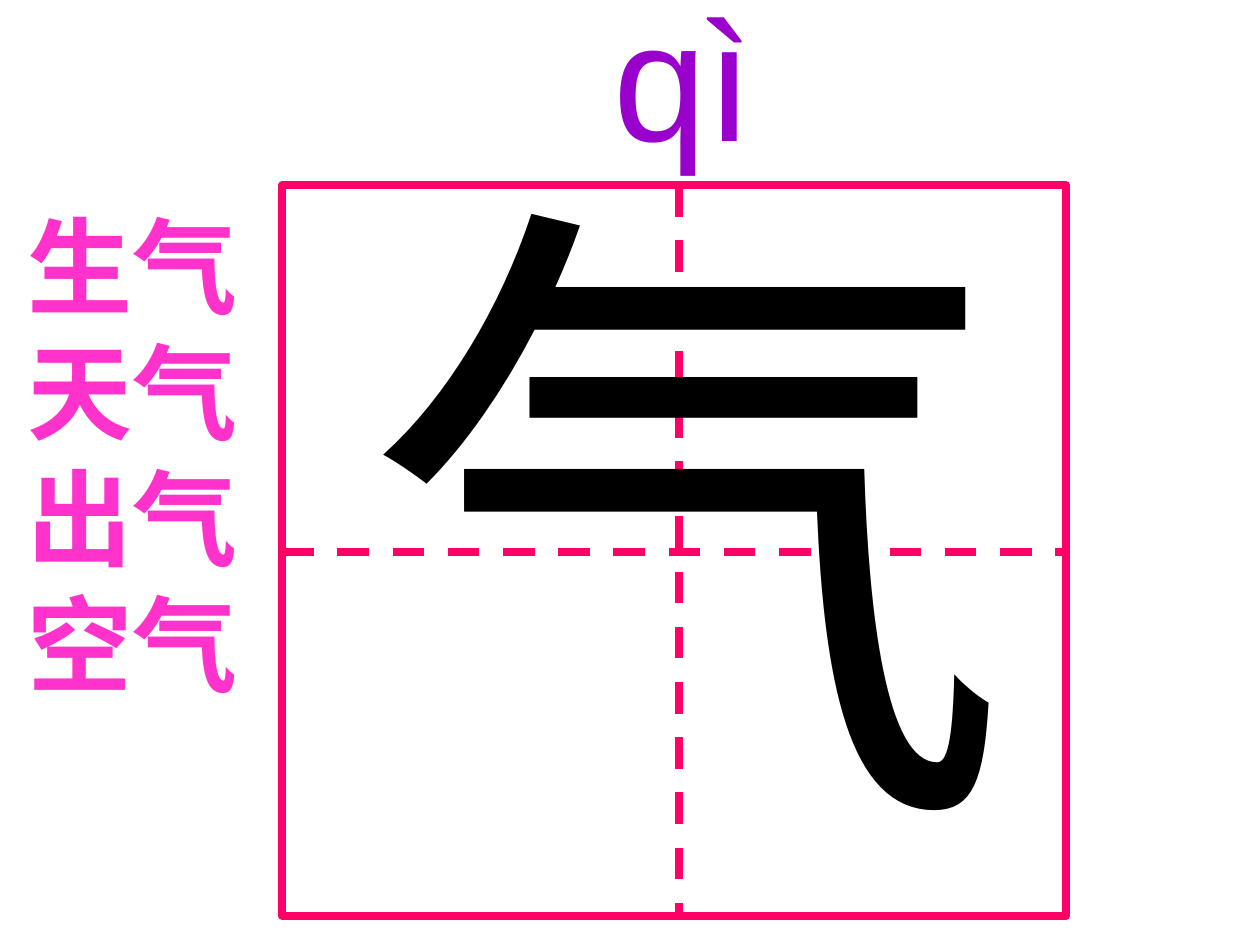
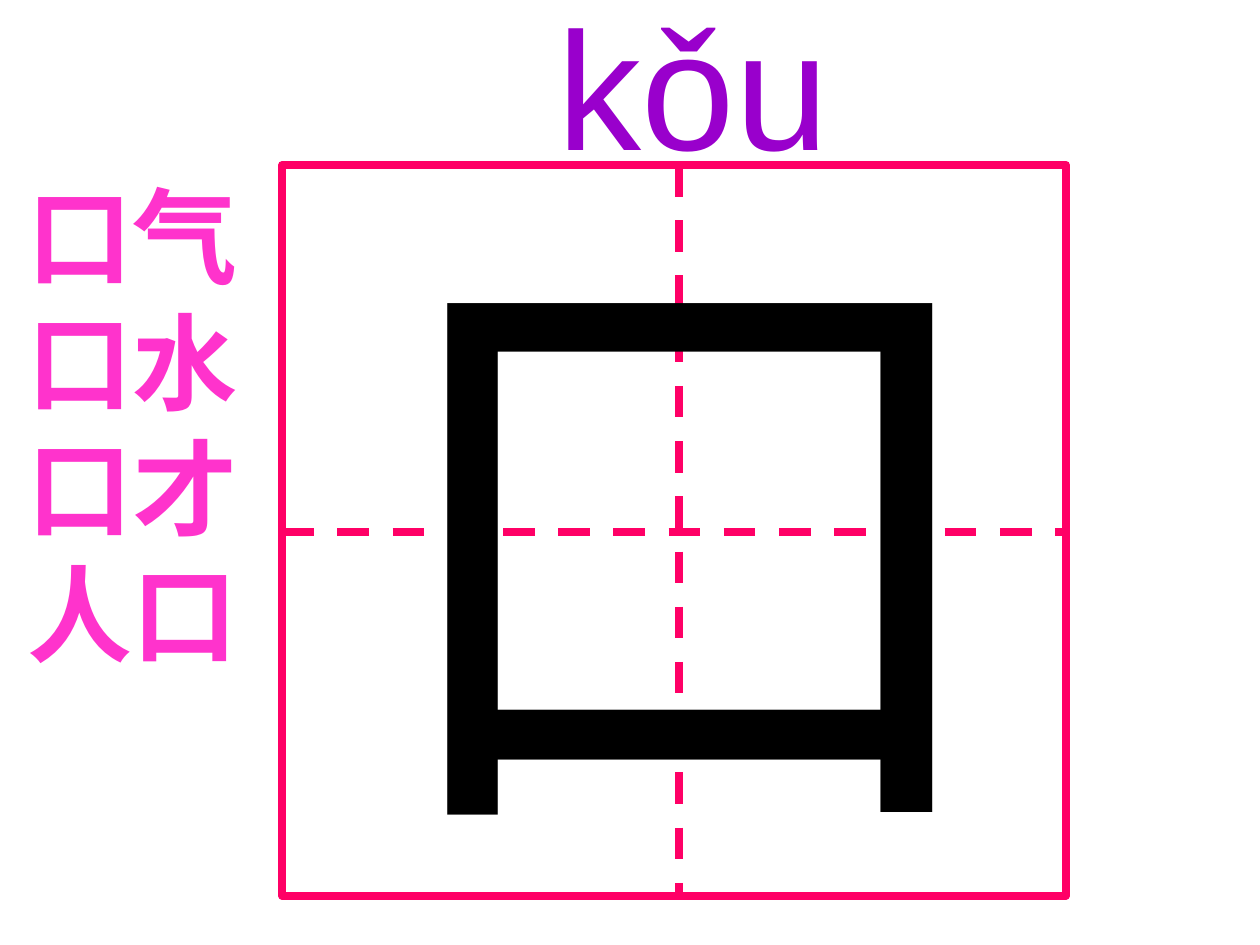
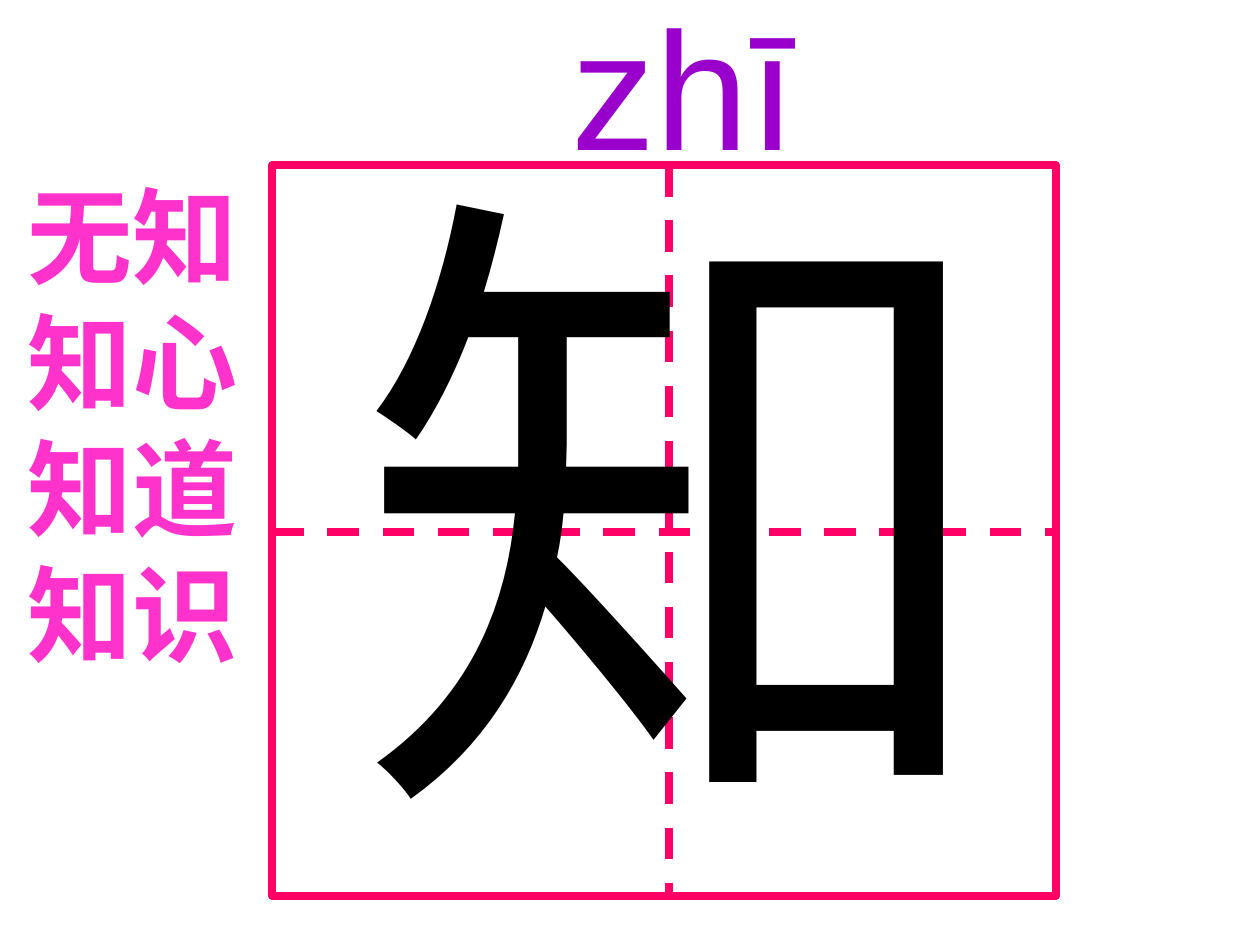
"""Build three cards that teach one Chinese character each."""
from typing import NamedTuple

from lxml import etree
from pptx import Presentation
from pptx.dml.color import RGBColor
from pptx.enum import dml, lang, shapes, text
from pptx.oxml import ns
from pptx.util import Inches, Pt

GRID_PINK = RGBColor(0xFF, 0x00, 0x66)
WORD_PINK = RGBColor(0xFF, 0x33, 0xCC)
PINYIN_PURPLE = RGBColor(0x99, 0x00, 0xCC)
INK = RGBColor(0x00, 0x00, 0x00)

GRID_WIDTH, GRID_HEIGHT = 6.22, 5.8
MIDDLE_X, MIDDLE_Y = 3.15, 2.91
GRID_LINE = Pt(4.5)


class Style(NamedTuple):
    font: str
    size: int
    color: RGBColor
    bold: bool = False
    wrap: bool = True
    language: lang.MSO_LANGUAGE_ID = lang.MSO_LANGUAGE_ID.SIMPLIFIED_CHINESE


class Box(NamedTuple):
    left: float
    top: float
    width: float
    height: float


class Card(NamedTuple):
    character: str
    pinyin: str
    words: tuple[str, ...]
    grid_left: float
    grid_top: float
    character_top: float
    words_top: float
    pinyin_box: Box


CHARACTER = Style("Times New Roman", 370, INK)
WORDS = Style("Arial", 60, WORD_PINK, bold=True)
PINYIN = Style("Arial", 96, PINYIN_PURPLE, wrap=False, language=lang.MSO_LANGUAGE_ID.NONE)

CARDS = (
    Card("气", "qì", ("生气", "天气", "出气", "空气"),
         2.24, 1.47, 0.84, 1.55, Box(4.77, -0.26, 1.31, 1.7)),
    Card("口", "kǒu", ("口气", "口水", "口才", "人口"),
         2.24, 1.31, 1.0, 1.31, Box(4.33, -0.19, 2.35, 1.7)),
    Card("知", "zhī", ("无知", "知心", "知道", "知识"),
         2.16, 1.31, 0.76, 1.31, Box(4.44, -0.19, 2.35, 1.7)),
)


def add_text(slide, content: str, box: Box, style: Style) -> None:
    """Write one run of text in a box that fits it."""
    frame = slide.shapes.add_textbox(*map(Inches, box)).text_frame
    frame.word_wrap = style.wrap
    frame.auto_size = text.MSO_AUTO_SIZE.SHAPE_TO_FIT_TEXT
    run = frame.paragraphs[0].add_run()
    run.text = content
    run.font.name = style.font
    run.font.size = Pt(style.size)
    run.font.bold = style.bold
    run.font.color.rgb = style.color
    run.font.language_id = style.language


def add_guide(grid, x1: float, y1: float, x2: float, y2: float) -> None:
    """Draw one dashed guide of the writing grid."""
    guide = grid.shapes.add_connector(
        shapes.MSO_CONNECTOR.STRAIGHT, *map(Inches, (x1, y1, x2, y2)))
    guide.line.color.rgb = GRID_PINK
    guide.line.width = GRID_LINE
    guide.line.dash_style = dml.MSO_LINE.DASH
    properties = guide._element.find(ns.qn("p:spPr"))
    etree.SubElement(properties, ns.qn("a:effectLst"))


def add_grid(slide, left: float, top: float) -> None:
    """Draw the square frame and its two guides as a group."""
    grid = slide.shapes.add_group_shape()
    frame = grid.shapes.add_shape(
        shapes.MSO_SHAPE.RECTANGLE, *map(Inches, (left, top, GRID_WIDTH, GRID_HEIGHT)))
    frame.shadow.inherit = False
    frame.fill.background()
    frame.line.color.rgb = GRID_PINK
    frame.line.width = GRID_LINE
    add_guide(grid, left, top + MIDDLE_Y, left + GRID_WIDTH, top + MIDDLE_Y)
    add_guide(grid, left + MIDDLE_X, top, left + MIDDLE_X, top + 2 * MIDDLE_Y)


def add_card(deck, card: Card) -> None:
    """Add the slide of one character."""
    slide = deck.slides.add_slide(deck.slide_layouts[6])
    add_grid(slide, card.grid_left, card.grid_top)
    character_box = Box(card.grid_left + 0.56, card.character_top, 5.14, 6.27)
    add_text(slide, card.character, character_box, CHARACTER)
    add_text(slide, "".join(card.words), Box(0.12, card.words_top, 2.05, 4.1), WORDS)
    add_text(slide, card.pinyin, card.pinyin_box, PINYIN)


def main() -> None:
    """Build and save the deck."""
    deck = Presentation()
    deck.slide_width, deck.slide_height = Inches(10), Inches(7.5)
    for card in CARDS:
        add_card(deck, card)
    deck.save("out.pptx")


if __name__ == "__main__":
    main()
